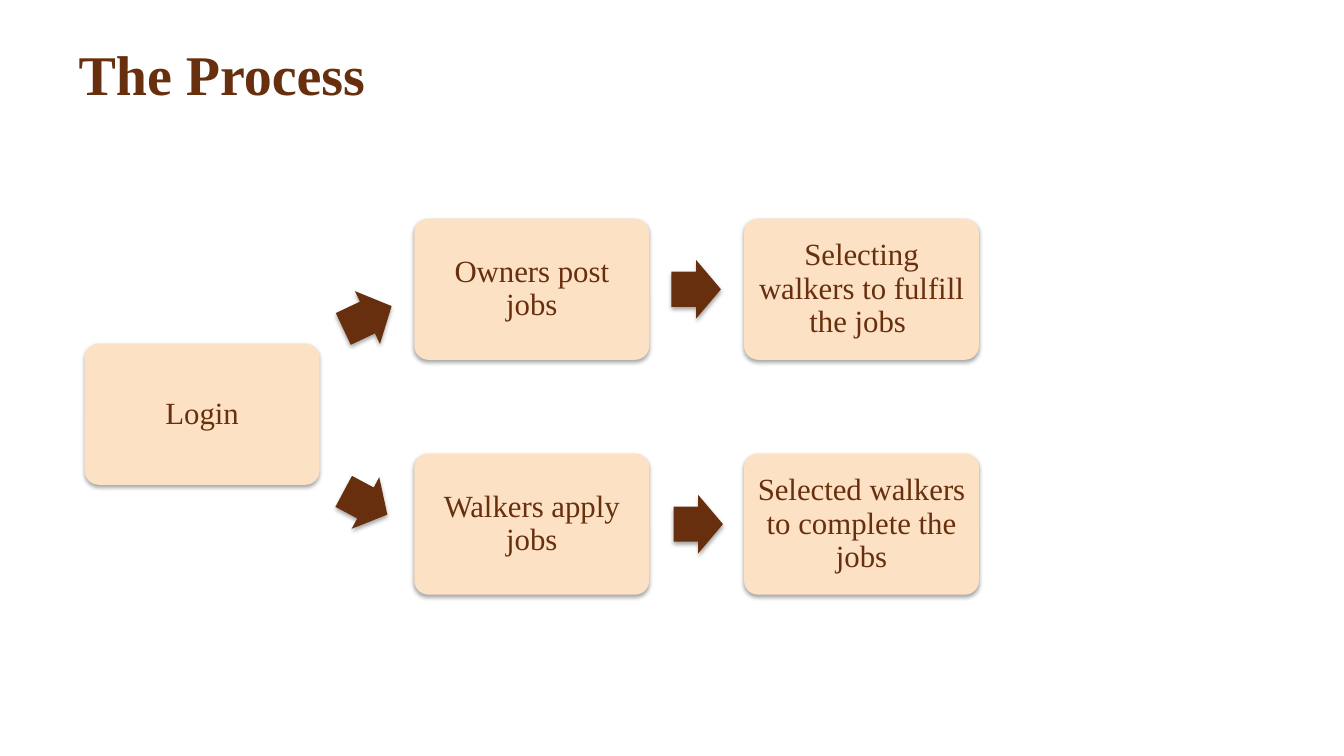
"""Build the slide that shows the login, posting and walking process."""
import dataclasses

import lxml.etree
import pptx
import pptx.dml.color
import pptx.enum.shapes
import pptx.enum.text
import pptx.oxml.ns
import pptx.util
from pptx.util import Inches


@dataclasses.dataclass(frozen=True)
class Theme:
    font: str = "Times New Roman"
    brown: str = "672F0D"
    peach: str = "FCE1C4"
    shadow: str = "000000"
    title_size: int = 40
    step_size: int = 22


theme = Theme()
SHAPES = pptx.enum.shapes.MSO_SHAPE


def write(frame, wording, size, inset_x, inset_y, bold=False):
    frame.word_wrap = True
    frame.vertical_anchor = pptx.enum.text.MSO_ANCHOR.MIDDLE
    frame.margin_left = frame.margin_right = Inches(inset_x)
    frame.margin_top = frame.margin_bottom = Inches(inset_y)
    run = frame.paragraphs[0].add_run()
    run.text = wording
    run.font.name = theme.font
    run.font.size = pptx.util.Pt(size)
    run.font.bold = bold
    run.font.color.rgb = pptx.dml.color.RGBColor.from_string(theme.brown)
    return frame.paragraphs[0]


def add_raised(kind, left, top, width, height, color, adjustments):
    shape = slide.shapes.add_shape(
        kind, Inches(left), Inches(top), Inches(width), Inches(height))
    for index, value in enumerate(adjustments):
        shape.adjustments[index] = value
    shape.fill.solid()
    shape.fill.fore_color.rgb = pptx.dml.color.RGBColor.from_string(color)
    shape.line.fill.background()
    shape.shadow.inherit = False
    qn = pptx.oxml.ns.qn
    effects = shape.element.spPr.find(qn("a:effectLst"))
    outer = lxml.etree.SubElement(
        effects, qn("a:outerShdw"), blurRad=str(pptx.util.Pt(3.1)),
        dist=str(pptx.util.Pt(1.8)), dir="5400000", rotWithShape="0")
    tint = lxml.etree.SubElement(outer, qn("a:srgbClr"), val=theme.shadow)
    lxml.etree.SubElement(tint, qn("a:alpha"), val="35000")
    return shape


presentation = pptx.Presentation()
presentation.slide_width = Inches(13.33)
presentation.slide_height = Inches(7.5)
slide = presentation.slides.add_slide(presentation.slide_layouts[6])

title = slide.shapes.add_textbox(Inches(0.67), Inches(0.29), Inches(12), Inches(0.87))
write(title.text_frame, "The Process", theme.title_size, 0.11, 0.05, bold=True)

first_column, column_pitch = 0.84, 3.27
owner_row, login_row, walker_row = 2.17, 3.41, 4.5
steps = [
    ("Login", 0, login_row),
    ("Owners post jobs", 1, owner_row),
    ("Selecting walkers to fulfill the jobs ", 2, owner_row),
    ("Walkers apply jobs", 1, walker_row),
    ("Selected walkers to complete the jobs", 2, walker_row),
]
for wording, column, top in steps:
    step = add_raised(SHAPES.ROUNDED_RECTANGLE, first_column + column * column_pitch,
                      top, 2.33, 1.4, theme.peach, [0.1])
    paragraph = write(step.text_frame, wording, theme.step_size, 0.09, 0.09)
    paragraph.alignment = pptx.enum.text.PP_ALIGN.CENTER
    paragraph.line_spacing = 0.9

arrows = [
    (3.38, 2.86, 0.53, 334.7),
    (6.66, 2.58, 0.49, 0),
    (3.38, 4.7, 0.49, 28.1),
    (6.68, 4.91, 0.49, 0),
]
for left, top, width, angle in arrows:
    arrow = add_raised(SHAPES.RIGHT_ARROW, left, top, width, 0.58, theme.brown, [0.6, 0.5])
    arrow.rotation = angle

presentation.save("out.pptx")
